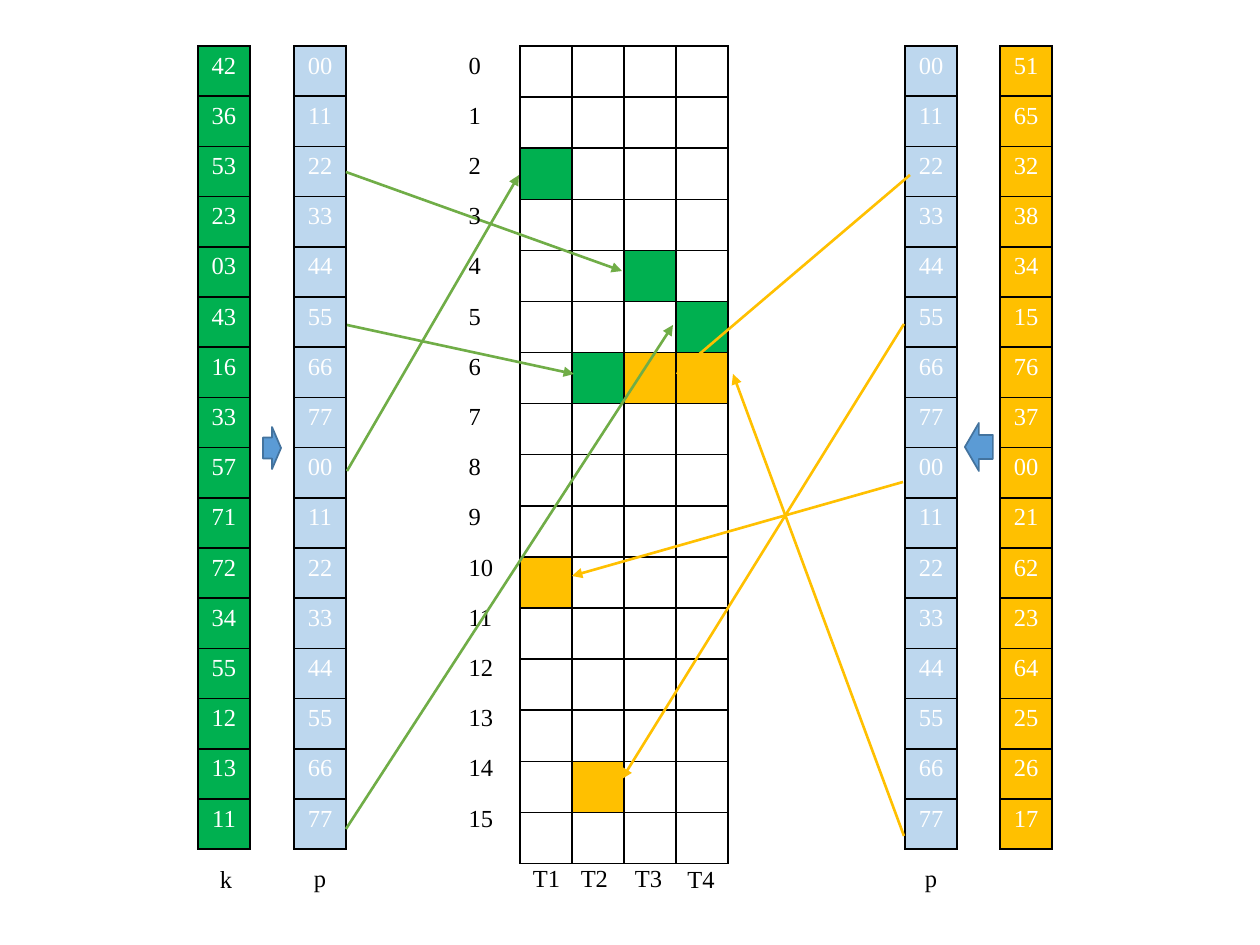
from dataclasses import dataclass
from typing import Optional, Sequence

from lxml import etree
from pptx import Presentation
from pptx.dml.color import RGBColor
from pptx.enum import shapes, text
from pptx.oxml import ns
from pptx.util import Pt

EMU_PER_PX = 914400 / 126

GREEN = RGBColor(0x00, 0xB0, 0x50)
GOLD = RGBColor(0xFF, 0xC0, 0x00)
PALE_BLUE = RGBColor(0xBD, 0xD7, 0xEE)
BLUE = RGBColor(0x5B, 0x9B, 0xD5)
DARK_BLUE = RGBColor(0x43, 0x73, 0x9E)
LINK_GREEN = RGBColor(0x70, 0xAD, 0x47)
WHITE = RGBColor(0xFF, 0xFF, 0xFF)
BLACK = RGBColor(0x00, 0x00, 0x00)

ROWS = 16
TOP = 46
CELL_WIDTH = 52
COLUMN_HEIGHT = 804
GRID_HEIGHT = 806
LABEL_HEIGHT = 43


@dataclass(frozen=True)
class Column:
    left: int
    values: Sequence[str]
    fill: Optional[RGBColor] = None
    color: RGBColor = WHITE
    align: text.PP_ALIGN = text.PP_ALIGN.CENTER


@dataclass(frozen=True)
class Label:
    words: str
    left: int
    top: int
    width: int


@dataclass(frozen=True)
class BlockArrow:
    left: int
    top: int
    width: int
    height: int
    flipped: bool = False


@dataclass(frozen=True)
class Link:
    start: tuple[int, int]
    end: tuple[int, int]
    color: RGBColor


def px(length: float) -> int:
    return round(length * EMU_PER_PX)


def style_text(paragraph, words: str, color: RGBColor, align) -> None:
    paragraph.alignment = align
    run = paragraph.add_run()
    run.text = words
    font_format = {"size": Pt(14), "name": "Times New Roman"}
    for name, value in font_format.items():
        setattr(run.font, name, value)
    run.font.color.rgb = color


def set_borders(cell, color: Optional[RGBColor]) -> None:
    properties = cell._tc.get_or_add_tcPr()
    for position, side in enumerate(("lnL", "lnR", "lnT", "lnB")):
        border = etree.Element(ns.qn(f"a:{side}"), w=str(Pt(1)))
        if color is None:
            etree.SubElement(border, ns.qn("a:noFill"))
        else:
            fill = etree.SubElement(border, ns.qn("a:solidFill"))
            etree.SubElement(fill, ns.qn("a:srgbClr"), val=str(color))
        properties.insert(position, border)


def add_plain_table(slide, left: int, columns: int, height: int):
    frame = slide.shapes.add_table(
        ROWS, columns, px(left), px(TOP), px(CELL_WIDTH * columns), px(height))
    table = frame.table
    for name in ("first_row", "horz_banding"):
        setattr(table, name, False)
    for row in table.rows:
        row.height = px(height / ROWS)
    return table


def add_grid(slide, left: int, filled: dict[tuple[int, int], RGBColor]) -> None:
    table = add_plain_table(slide, left, 4, GRID_HEIGHT)
    for row in range(ROWS):
        for column in range(4):
            cell = table.cell(row, column)
            cell.fill.solid()
            cell.fill.fore_color.rgb = filled.get((row, column), WHITE)
            set_borders(cell, BLACK)


def add_column(slide, column: Column) -> None:
    table = add_plain_table(slide, column.left, 1, COLUMN_HEIGHT)
    for row, value in enumerate(column.values):
        cell = table.cell(row, 0)
        if column.fill is None:
            cell.fill.background()
        else:
            cell.fill.solid()
            cell.fill.fore_color.rgb = column.fill
        set_borders(cell, BLACK if column.fill is not None else None)
        style_text(cell.text_frame.paragraphs[0], value, column.color, column.align)


def add_label(slide, label: Label) -> None:
    shape = slide.shapes.add_textbox(
        px(label.left), px(label.top), px(label.width), px(LABEL_HEIGHT))
    frame = shape.text_frame
    frame.word_wrap = True
    frame.auto_size = text.MSO_AUTO_SIZE.SHAPE_TO_FIT_TEXT
    style_text(frame.paragraphs[0], label.words, BLACK, text.PP_ALIGN.CENTER)


def add_block_arrow(slide, arrow: BlockArrow) -> None:
    shape = slide.shapes.add_shape(
        shapes.MSO_SHAPE.RIGHT_ARROW,
        px(arrow.left), px(arrow.top), px(arrow.width), px(arrow.height))
    shape.shadow.inherit = False
    shape.fill.solid()
    shape.fill.fore_color.rgb = BLUE
    shape.line.color.rgb = DARK_BLUE
    shape.line.width = Pt(1)
    if arrow.flipped:
        shape._element.spPr.get_or_add_xfrm().set("flipH", "1")


def add_link(slide, link: Link) -> None:
    connector = slide.shapes.add_connector(
        shapes.MSO_CONNECTOR.STRAIGHT, *map(px, link.start + link.end))
    connector.line.color.rgb = link.color
    connector.line.width = Pt(1.5)
    etree.SubElement(connector.line._get_or_add_ln(), ns.qn("a:tailEnd"), type="triangle")
    etree.SubElement(connector._element.spPr, ns.qn("a:effectLst"))


GRID_FILLS = {
    (2, 0): GREEN, (4, 2): GREEN, (5, 3): GREEN, (6, 1): GREEN,
    (6, 2): GOLD, (6, 3): GOLD, (10, 0): GOLD, (14, 1): GOLD,
}
GREEN_KEYS = "42 36 53 23 03 43 16 33 57 71 72 34 55 12 13 11".split()
GOLD_KEYS = "51 65 32 38 34 15 76 37 00 21 62 23 64 25 26 17".split()
POSITIONS = [str(row % 8) * 2 for row in range(ROWS)]

COLUMNS = [
    Column(198, GREEN_KEYS, GREEN),
    Column(294, POSITIONS, PALE_BLUE),
    Column(905, POSITIONS, PALE_BLUE),
    Column(1000, GOLD_KEYS, GOLD),
]
ROW_NUMBERS = Column(456, [str(row) for row in range(ROWS)],
                     color=BLACK, align=text.PP_ALIGN.LEFT)
LABELS = [
    Label("k", 200, 858, 52), Label("p", 294, 857, 52), Label("p", 905, 857, 52),
    Label("T1", 515, 857, 63), Label("T2", 563, 857, 63),
    Label("T3", 621, 857, 55), Label("T4", 665, 858, 72),
]
BLOCK_ARROWS = [BlockArrow(263, 427, 18, 42), BlockArrow(965, 423, 28, 48, True)]
FIRST_LINK = Link((346, 172), (622, 271), LINK_GREEN)
LINKS = [
    Link((347, 325), (574, 374), LINK_GREEN),
    Link((347, 471), (519, 175), LINK_GREEN),
    Link((346, 829), (673, 325), LINK_GREEN),
    Link((910, 175), (676, 374), GOLD),
    Link((904, 324), (622, 779), GOLD),
    Link((903, 482), (572, 576), GOLD),
    Link((904, 836), (733, 374), GOLD),
]


def main() -> None:
    presentation = Presentation()
    presentation.slide_width, presentation.slide_height = px(1260), px(945)
    slide = presentation.slides.add_slide(presentation.slide_layouts[6])

    # Hash grid, key columns and captions
    add_grid(slide, 520, GRID_FILLS)
    for column in COLUMNS:
        add_column(slide, column)
    for label in LABELS:
        add_label(slide, label)

    # Row numbers lie above the first link
    add_link(slide, FIRST_LINK)
    add_column(slide, ROW_NUMBERS)

    # Arrows between keys, positions and grid
    for arrow in BLOCK_ARROWS:
        add_block_arrow(slide, arrow)
    for link in LINKS:
        add_link(slide, link)

    presentation.save("out.pptx")


if __name__ == "__main__":
    main()
